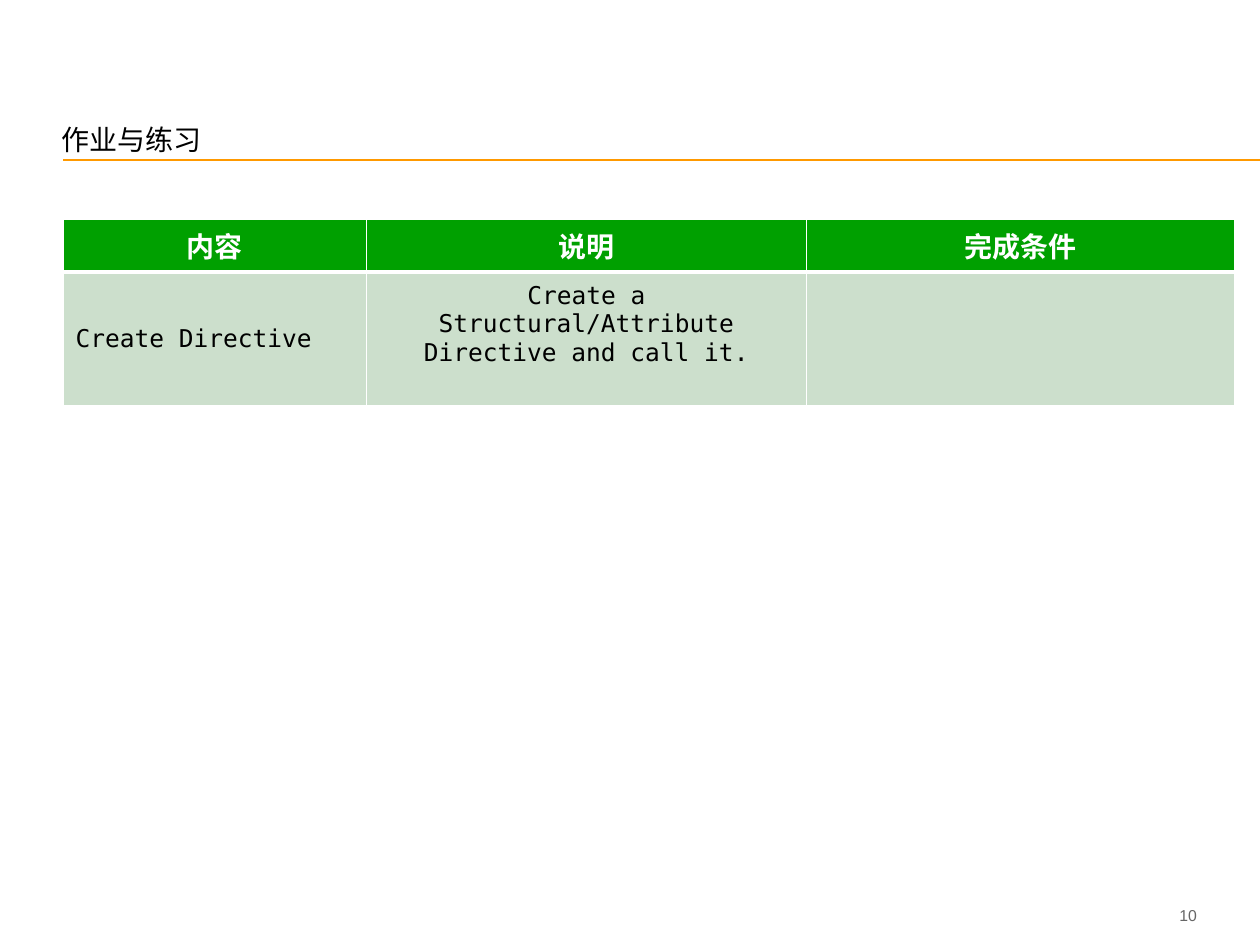
from dataclasses import dataclass

from lxml import etree
from pptx import Presentation
from pptx import util as u
from pptx.dml import color
from pptx.enum import shapes, text
from pptx.oxml import ns


@dataclass(frozen=True)
class Theme:
    ink: str = "000000"
    white: str = "FFFFFF"
    grey: str = "666666"
    rule: str = "FF9900"
    header: str = "00A000"
    body: str = "CCDFCC"
    heading_font: str = "Noto Sans CJK SC"
    code_font: str = "DejaVu Sans Mono"
    number_font: str = "Arial"
    heading_size: int = 16
    body_size: int = 14
    number_size: int = 9


class SlideBuilder:
    """Places elements on a grid of 100 columns by 75 rows."""

    COLUMNS, ROWS = 100, 75

    def __init__(self, presentation, theme):
        self.theme = theme
        self.column = presentation.slide_width / self.COLUMNS
        self.row = presentation.slide_height / self.ROWS
        self.slide = presentation.slides.add_slide(presentation.slide_layouts[6])

    def x(self, columns):
        return u.Emu(round(columns * self.column))

    def y(self, rows):
        return u.Emu(round(rows * self.row))

    def box(self, left, top, width, height):
        return self.x(left), self.y(top), self.x(width), self.y(height)

    def format_text(self, paragraph, font, size, ink, bold=False, align=text.PP_ALIGN.LEFT):
        paragraph.alignment = align
        for run in paragraph.runs:
            run.font.name = font
            run.font.size = u.Pt(size)
            run.font.bold = bold
            run.font.color.rgb = color.RGBColor.from_string(ink)
            east_asian = etree.SubElement(run._r.get_or_add_rPr(), ns.qn("a:ea"))
            east_asian.set("typeface", font)

    def line(self, start, end, ink, width):
        connector = self.slide.shapes.add_connector(
            shapes.MSO_CONNECTOR.STRAIGHT,
            self.x(start[0]), self.y(start[1]), self.x(end[0]), self.y(end[1]))
        connector.line.color.rgb = color.RGBColor.from_string(ink)
        connector.line.width = u.Pt(width)
        etree.SubElement(connector._element.spPr, ns.qn("a:effectLst"))

    def label(self, words, box, anchor, spacing=1.0, **style):
        frame = self.slide.shapes.add_textbox(*self.box(*box)).text_frame
        frame.word_wrap = True
        frame.vertical_anchor = anchor
        frame.margin_left = frame.margin_right = 0
        frame.margin_top = frame.margin_bottom = 0
        frame.text = words
        frame.paragraphs[0].line_spacing = spacing
        self.format_text(frame.paragraphs[0], **style)

    def borders(self, cell, bottom):
        properties = cell._tc.get_or_add_tcPr()
        for side, width in (("L", 1), ("R", 1), ("T", 1), ("B", bottom)):
            border = etree.SubElement(properties, ns.qn(f"a:ln{side}"), w=str(u.Pt(width)))
            fill = etree.SubElement(border, ns.qn("a:solidFill"))
            etree.SubElement(fill, ns.qn("a:srgbClr"), val=self.theme.white)

    def table(self, left, top, widths, heights, rows):
        theme = self.theme
        table = self.slide.shapes.add_table(
            len(rows), len(widths),
            *self.box(left, top, sum(widths), sum(heights))).table
        for column, width in zip(table.columns, widths):
            column.width = self.x(width)
        for row, height in zip(table.rows, heights):
            row.height = self.y(height)

        for row_index, row in enumerate(rows):
            is_header = row_index == 0
            for column_index, words in enumerate(row):
                cell = table.cell(row_index, column_index)
                self.borders(cell, bottom=3 if is_header else 1)
                cell.fill.solid()
                cell.fill.fore_color.rgb = color.RGBColor.from_string(
                    theme.header if is_header else theme.body)
                cell.vertical_anchor = text.MSO_ANCHOR.MIDDLE
                cell.text_frame.text = words
                centred = is_header or column_index > 0
                self.format_text(
                    cell.text_frame.paragraphs[0],
                    font=theme.heading_font if is_header else theme.code_font,
                    size=theme.heading_size if is_header else theme.body_size,
                    ink=theme.white if is_header else theme.ink,
                    bold=is_header,
                    align=text.PP_ALIGN.CENTER if centred else text.PP_ALIGN.LEFT)
        return table


def main():
    theme = Theme()
    presentation = Presentation()
    presentation.slide_width, presentation.slide_height = u.Inches(10), u.Inches(7.5)
    builder = SlideBuilder(presentation, theme)

    # Title and rule
    builder.line((5, 12.7), (100, 12.7), theme.rule, 1)
    builder.label("作业与练习", (4.9, 3.8, 89.7, 8.6), text.MSO_ANCHOR.BOTTOM, spacing=1.5,
                  font=theme.heading_font, size=theme.heading_size, ink=theme.ink)

    # Slide number
    builder.label("10", (89, 71.9, 6, 1.4), text.MSO_ANCHOR.MIDDLE,
                  font=theme.number_font, size=theme.number_size, ink=theme.grey,
                  align=text.PP_ALIGN.RIGHT)

    # Exercise table, with the description raised in its cell
    exercises = builder.table(5, 17.4, (24.1, 34.9, 34), (4.2, 10.6), (
        ("内容", "说明", "完成条件"),
        ("Create Directive", "Create a Structural/Attribute Directive and call it.", ""),
    ))
    exercises.cell(1, 1).margin_bottom = builder.y(2.8)

    presentation.save("out.pptx")


if __name__ == "__main__":
    main()
